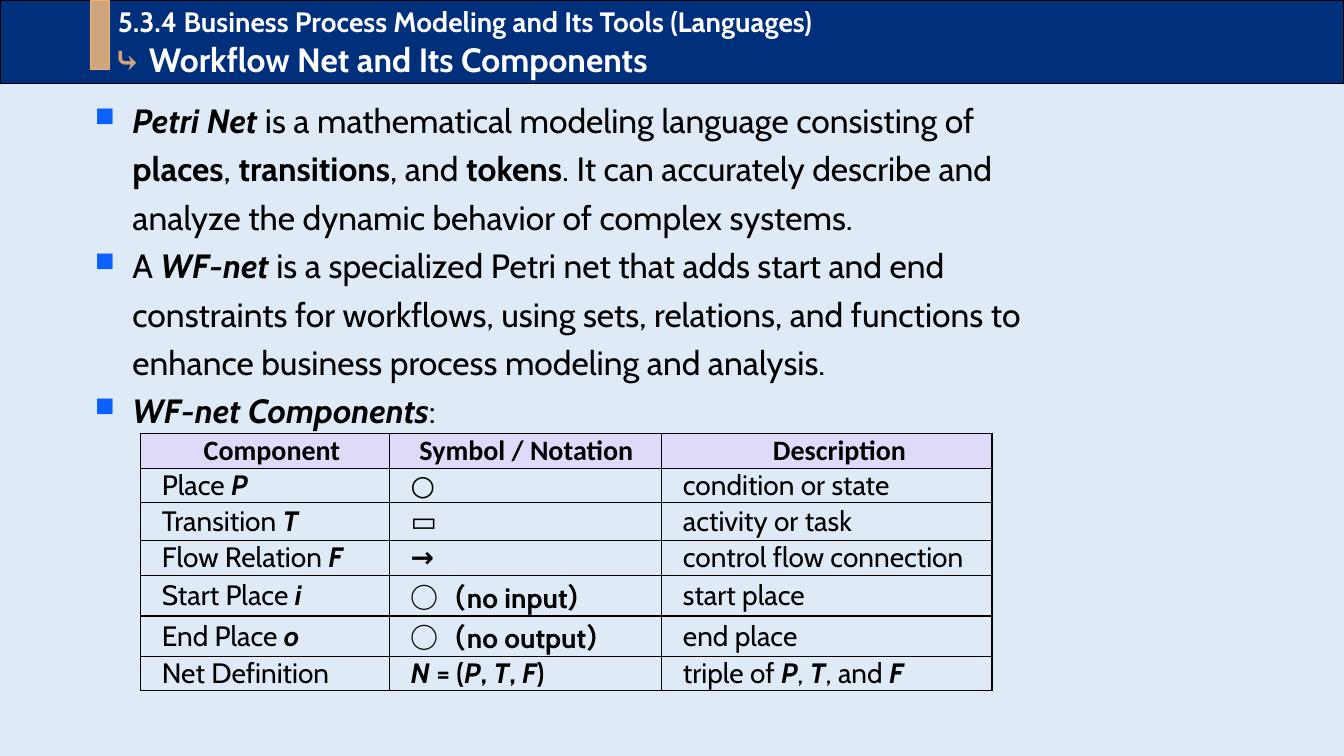
import pptx
import pptx.dml.color
import pptx.enum.shapes
import pptx.enum.text
import pptx.oxml
import pptx.oxml.ns
import pptx.util
from pptx.util import Cm

ALIGN = pptx.enum.text.PP_ALIGN
ANCHOR = pptx.enum.text.MSO_ANCHOR

BULLETS = [
    "/Petri Net |is a mathematical modeling language consisting of |*places|, |*transitions|, and "
    "|*tokens|. It can accurately describe and analyze the dynamic behavior of complex systems.",
    "A |/WF-net| is a specialized Petri net that adds start and end constraints for workflows, using "
    "sets, relations, and functions to enhance business process modeling and analysis.",
    "/WF-net Components|:",
]
HEADINGS = [("*Component", 0.36), ("*Symbol / Notation", 0.05), ("*Description", 0.64)]
COMPONENTS = [
    ("Place |/P", "*○", "condition or state"),
    ("Transition |/T", "*▭", "activity or task"),
    ("Flow Relation |/F", "*→", "control flow connection"),
    ("Start Place |/i", "*○（no input）", "start place"),
    ("End Place |/o", "*○（no output）", "end place"),
    ("Net Definition", "/N|* = (|/P|*, |/T|*, |/F|*)", "triple of |/P|, |/T|, and |/F"),
]
COLUMN_WIDTHS = [6.27, 6.86, 8.33]
ROW_HEIGHTS = [0.88, 0.86, 0.96, 0.88, 1.02, 1.02, 0.86]


def rgb(color):
    """Turn a hex string into a colour."""
    return pptx.dml.color.RGBColor.from_string(color)


def add_xml(parent, xml):
    """Append a drawing element given as XML to a parent."""
    head, rest = xml.split(" ", 1)
    parent.append(pptx.oxml.parse_xml(f"{head} {pptx.oxml.ns.nsdecls('a')} {rest}"))


def write(p, markup, size, font="Cabin", color="000000"):
    """Write runs split at bars, where * marks bold and / bold italic."""
    p.font.size = pptx.util.Pt(size)
    p.font.name = font
    p.font.color.rgb = rgb(color)
    for part in markup.split("|"):
        r = p.add_run()
        r.text = part.lstrip("*/")
        r.font.bold = part[0] in "*/"
        r.font.italic = part[0] == "/"


def indent(p, left, first=0):
    """Set the left margin and first-line indent of a paragraph."""
    pPr = p._p.get_or_add_pPr()
    pPr.set("marL", str(Cm(left)))
    pPr.set("indent", str(Cm(first)))


def add_rect(s, left, top, width, height, fill, line):
    """Add a filled rectangle with a thin outline."""
    sp = s.shapes.add_shape(pptx.enum.shapes.MSO_SHAPE.RECTANGLE,
                            Cm(left), Cm(top), Cm(width), Cm(height))
    sp.shadow.inherit = False
    sp.fill.solid()
    sp.fill.fore_color.rgb = rgb(fill)
    sp.line.color.rgb = rgb(line)
    sp.line.width = pptx.util.Pt(1)
    return sp


def add_header(s):
    """Add the title band with its section line and accent bar."""
    tf = add_rect(s, 0, 0, 33.87, 2.11, "002F7C", "000000").text_frame
    tf.vertical_anchor = ANCHOR.MIDDLE
    section, title = tf.paragraphs[0], tf.add_paragraph()
    for p, left, markup, size in (
        (section, 2.72, "*5.3.4 Business Process Modeling and Its Tools (Languages)", 20),
        (title, 2.6, "*⤷ |*Workflow Net and Its Components", 24),
    ):
        p.alignment = ALIGN.LEFT
        indent(p, left)
        write(p, markup, size, color="FFFFFF")
    title.runs[0].font.color.rgb = rgb("CFA57C")
    add_rect(s, 2.28, 0, 0.48, 1.75, "CFA57C", "F4B183")


def add_bullets(s):
    """Add the bulleted explanation."""
    tf = s.shapes.add_textbox(Cm(2.14), Cm(2.19), Cm(25.02), Cm(14.52)).text_frame
    tf.word_wrap = True
    for i, markup in enumerate(BULLETS):
        p = tf.add_paragraph() if i else tf.paragraphs[0]
        p.line_spacing = 1.2
        indent(p, 0.95, -0.95)
        pPr = p._p.get_or_add_pPr()
        add_xml(pPr, '<a:buClr ><a:srgbClr val="0B61FF"/></a:buClr>')
        add_xml(pPr, '<a:buSzPct val="80000"/>')
        add_xml(pPr, '<a:buChar char="■"/>')
        write(p, markup, 24)


def fill_cell(cell, markup, font, align, first, anchor, fill=None):
    """Write a table cell and give it borders and an optional fill."""
    cell.margin_left = cell.margin_right = Cm(0.18)
    cell.margin_top = cell.margin_bottom = 0
    cell.vertical_anchor = anchor
    p = cell.text_frame.paragraphs[0]
    p.alignment = align
    indent(p, 0, first)
    write(p, markup, 20, font)
    for side in "LRTB":
        add_xml(cell._tc.get_or_add_tcPr(),
                f'<a:ln{side} w="12700"><a:solidFill><a:srgbClr val="000000"/></a:solidFill></a:ln{side}>')
    if fill:
        cell.fill.solid()
        cell.fill.fore_color.rgb = rgb(fill)
    else:
        cell.fill.background()


def add_components(s):
    """Add the table of net components."""
    table = s.shapes.add_table(len(ROW_HEIGHTS), len(COLUMN_WIDTHS), Cm(3.54), Cm(10.92),
                               Cm(sum(COLUMN_WIDTHS)), Cm(sum(ROW_HEIGHTS))).table
    table.first_row = table.horz_banding = False
    for column, width in zip(table.columns, COLUMN_WIDTHS):
        column.width = Cm(width)
    for row, height in zip(table.rows, ROW_HEIGHTS):
        row.height = Cm(height)
    for c, (heading, first) in enumerate(HEADINGS):
        fill_cell(table.cell(0, c), heading, "Calibri", ALIGN.CENTER, first, ANCHOR.TOP, "DEDAF8")
    for r, component in enumerate(COMPONENTS, 1):
        for c, markup in enumerate(component):
            fill_cell(table.cell(r, c), markup, "Cabin", ALIGN.JUSTIFY, 0.36, ANCHOR.MIDDLE)


def main():
    """Build the slide and save it."""
    prs = pptx.Presentation()
    prs.slide_width, prs.slide_height = Cm(33.87), Cm(19.05)
    s = prs.slides.add_slide(prs.slide_layouts[6])
    s.background.fill.solid()
    s.background.fill.fore_color.rgb = rgb("DEEBF7")
    add_header(s)
    add_bullets(s)
    add_components(s)
    prs.save("out.pptx")


if __name__ == "__main__":
    main()
